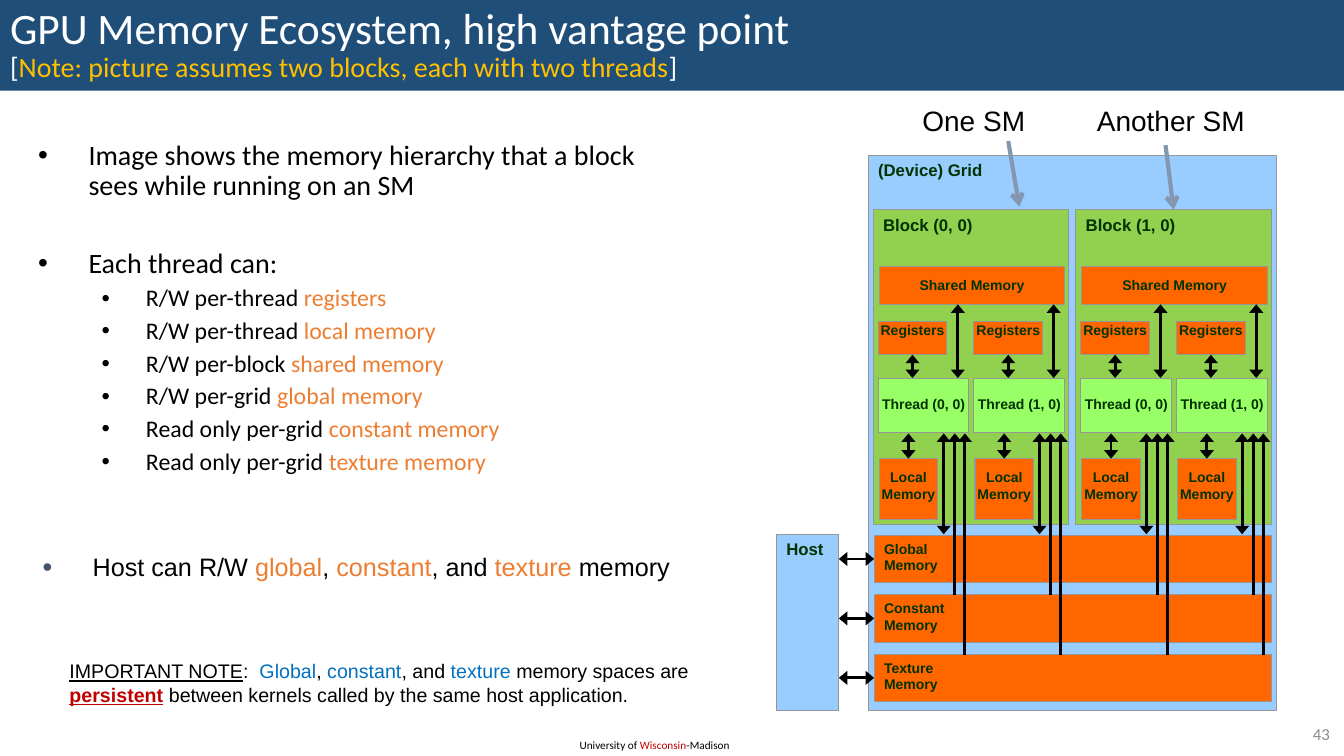
import pptx
import pptx.dml.color
import pptx.enum.shapes
import pptx.enum.text
import pptx.oxml.ns
import pptx.util
from lxml import etree

Inches, Pt = pptx.util.Inches, pptx.util.Pt
RGB = pptx.dml.color.RGBColor
ALIGN = pptx.enum.text.PP_ALIGN
ANCHOR = pptx.enum.text.MSO_ANCHOR
qn = pptx.oxml.ns.qn

NAVY = RGB(0x1F, 0x4E, 0x79)
WHITE = RGB(0xFF, 0xFF, 0xFF)
BLACK = RGB(0, 0, 0)
GOLD = RGB(0xFF, 0xC0, 0x00)
ORANGE = RGB(0xED, 0x7D, 0x31)
BLUE = RGB(0x00, 0x70, 0xC0)
RED = RGB(0xC0, 0x00, 0x00)
PAGE_GREY = RGB(0x8C, 0x8C, 0x8C)
SKY = RGB(0x99, 0xCC, 0xFF)
MEMORY = RGB(0xFF, 0x66, 0x00)
BLOCK_GREEN = RGB(0x92, 0xD0, 0x50)
THREAD_GREEN = RGB(0x99, 0xFF, 0x66)
LABEL_GREEN = RGB(0x00, 0x33, 0x00)
EDGE_GREY = RGB(0x96, 0x96, 0x96)
STEEL = RGB(0x84, 0x97, 0xB0)

deck = pptx.Presentation()
deck.slide_width, deck.slide_height = Inches(13.33), Inches(7.5)
slide = deck.slides.add_slide(deck.slide_layouts[5])
shapes = slide.shapes


def add_box(x, y, w, h, fill, label, size=10, inset_top=None):
    """Labelled rectangle; with inset_top the label is centred without side insets."""
    box = shapes.add_shape(pptx.enum.shapes.MSO_SHAPE.RECTANGLE,
                           Inches(x), Inches(y), Inches(w), Inches(h))
    box.shadow.inherit = False
    box.fill.solid()
    box.fill.fore_color.rgb = fill
    box.line.color.rgb = EDGE_GREY
    box.line.width = Pt(0.75)
    frame = box.text_frame
    frame.vertical_anchor = ANCHOR.TOP
    if inset_top is not None:
        frame.margin_left = frame.margin_right = frame.margin_bottom = 0
        frame.margin_top = Inches(inset_top)
    frame.text = label
    for paragraph in frame.paragraphs:
        paragraph.alignment = ALIGN.LEFT if inset_top is None else ALIGN.CENTER
        paragraph.font.name, paragraph.font.size = "Arial", Pt(size)
        paragraph.font.bold = True
        paragraph.font.color.rgb = LABEL_GREEN
    return box


def add_arrow(x1, y1, x2, y2, heads=("headEnd", "tailEnd"), kind="triangle",
              head_width="lg", colour=BLACK, width=2):
    arrow = shapes.add_connector(pptx.enum.shapes.MSO_CONNECTOR.STRAIGHT,
                                 Inches(x1), Inches(y1), Inches(x2), Inches(y2))
    arrow.line.color.rgb = colour
    arrow.line.width = Pt(width)
    outline = arrow._element.spPr.find(qn("a:ln"))
    for head in heads:
        etree.SubElement(outline, qn("a:" + head), type=kind, w=head_width)
    etree.SubElement(arrow._element.spPr, qn("a:effectLst"))
    return arrow


# Title band
title = shapes.title
title.left, title.top = 0, 0
title.width, title.height = deck.slide_width, Inches(0.9)
title.fill.solid()
title.fill.fore_color.rgb = NAVY
title.text_frame.vertical_anchor = ANCHOR.MIDDLE
heading = title.text_frame.paragraphs[0]
heading.text = "GPU Memory Ecosystem, high vantage point"
heading.alignment = ALIGN.LEFT
heading.line_spacing = 0.9
heading.runs[0].font.size = Pt(31)
heading.runs[0].font.color.rgb = WHITE
heading.add_line_break()

# Text boxes: left, top, width, height, wraps
first_lines = []
for x, y, w, h, wraps in [
    (5.65, 7.28, 1.72, 0.24, False),
    (12.53, 7.13, 0.76, 0.29, True),
    (0.28, 1.35, 6.4, 3.5, True),
    (0.32, 5.42, 6.52, 0.5, True),
    (0.59, 6.49, 6.82, 0.57, True),
    (9.05, 0.98, 1.23, 0.44, False),
    (10.78, 0.98, 1.68, 0.44, False),
]:
    frame = shapes.add_textbox(Inches(x), Inches(y), Inches(w), Inches(h)).text_frame
    frame.word_wrap = wraps
    first_lines.append(frame.paragraphs[0])
footer, page_number, hierarchy, host_note, important, one_sm, another_sm = first_lines
page_number.alignment = ALIGN.RIGHT

# Bulleted list: intro, then what each thread can do
body = hierarchy._parent
each_thread = body.add_paragraph()
accesses = [
    ("R/W per-thread ", "registers"),
    ("R/W per-thread ", "local memory"),
    ("R/W per-block ", "shared memory"),
    ("R/W per-grid ", "global memory"),
    ("Read only per-grid ", "constant memory"),
    ("Read only per-grid ", "texture memory"),
]
access_lines = [body.add_paragraph() for _ in accesses]
for paragraph in [hierarchy, each_thread, *access_lines, host_note]:
    nested = paragraph in access_lines
    if nested:
        paragraph.level = 1
        paragraph.space_before = Pt(5)
    if paragraph is not host_note:
        paragraph.line_spacing = 0.9
    properties = paragraph._p.get_or_add_pPr()
    properties.set("marL", str(Inches(1.07 if nested else 0.5)))
    properties.set("indent", str(-Inches(0.44 if nested else 0.5)))
    if paragraph is host_note:
        bullet_colour = etree.SubElement(properties, qn("a:buClr"))
        etree.SubElement(bullet_colour, qn("a:srgbClr"), val="44546A")
        etree.SubElement(properties, qn("a:buSzPct"), val="70000")
    etree.SubElement(properties, qn("a:buFont"), typeface="Arial")
    etree.SubElement(properties, qn("a:buChar"), char="●" if paragraph is host_note else "•")
each_thread.space_before = Pt(34)

# Wording: paragraph, font, size, coloured runs
wording = [
    (heading, "Calibri", 20, [
        ("[", WHITE), ("Note: picture assumes two blocks, each with two threads", GOLD),
        ("]", WHITE)]),
    (footer, "Calibri", 8, [("University of ", BLACK), ("Wisconsin", RED), ("-Madison", BLACK)]),
    (page_number, "Calibri", 12, [("43", PAGE_GREY)]),
    (hierarchy, "Calibri", 20, [
        ("Image shows the memory hierarchy that a block sees while running on an SM", BLACK)]),
    (each_thread, "Calibri", 20, [("Each thread can:", BLACK)]),
    (host_note, "Arial", 18, [
        ("Host can R/W ", BLACK), ("global", ORANGE), (", ", BLACK), ("constant", ORANGE),
        (", and ", BLACK), ("texture", ORANGE), (" memory", BLACK)]),
    (important, "Arial", 14, [
        ("IMPORTANT NOTE", BLACK), (":  ", BLACK), ("Global", BLUE), (", ", BLACK),
        ("constant", BLUE), (", and ", BLACK), ("texture", BLUE),
        (" memory spaces are ", BLACK), ("persistent", RED),
        (" between kernels called by the same host application.", BLACK)]),
    (one_sm, "Arial", 20, [("One SM", BLACK)]),
    (another_sm, "Arial", 20, [("Another SM", BLACK)]),
]
for paragraph, (access, space) in zip(access_lines, accesses):
    wording.append((paragraph, "Calibri", 17, [(access, BLACK), (space, ORANGE)]))
for paragraph, font, size, runs in wording:
    paragraph.font.name, paragraph.font.size = font, Pt(size)
    for text, colour in runs:
        run = paragraph.add_run()
        run.text = text
        run.font.color.rgb = colour
for run in important.runs:
    run.font.underline = run.text in ("IMPORTANT NOTE", "persistent")
    run.font.bold = run.text == "persistent"

# Device grid with its three memories, and the host that reaches them
add_box(8.61, 1.54, 4.05, 5.51, SKY, "(Device) Grid", 12)
add_box(7.7, 5.3, 0.62, 1.75, SKY, "Host", 12)
for row, memory in enumerate(["Global", "Constant", "Texture"]):
    top = 5.31 + 0.59 * row
    bar = add_box(8.67, top, 3.94, 0.47, MEMORY, memory + "\nMemory")
    middle = top + 0.47 / 2
    add_arrow(8.32, middle, 8.67, middle).end_connect(bar, 1)

# Two blocks, each with shared memory and two threads
blocks = []
for block in range(2):
    left = 8.66 + 2.01 * block
    blocks.append(add_box(left, 2.08, 1.94, 3.12, BLOCK_GREEN, f"Block ({block}, 0)", 12))
    add_box(left + 0.06, 2.64, 1.84, 0.38, MEMORY, "Shared Memory", inset_top=0.1)
    for thread in range(2):
        x = left + 0.05 + 0.95 * thread
        local = add_box(x + 0.01, 4.55, 0.58, 0.6, MEMORY, "Local\nMemory", inset_top=0.1)
        add_box(x, 3.76, 0.9, 0.53, THREAD_GREEN, f"Thread ({thread}, 0)", inset_top=0.16)
        registers = add_box(x, 3.19, 0.68, 0.33, MEMORY, "Registers", inset_top=0)
        add_arrow(x + 0.79, 3.75, x + 0.79, 3.02)
        add_arrow(x + 0.34, 3.75, x + 0.34, 3.52).end_connect(registers, 2)
        add_arrow(x + 0.3, 4.55, x + 0.3, 4.3).begin_connect(local, 0)
        add_arrow(x + 0.65, 4.3, x + 0.65, 5.3)
        for x_read, y_memory in [(x + 0.76, 5.9), (x + 0.86, 6.5)]:
            add_arrow(x_read, 4.3, x_read, y_memory, heads=["headEnd"])

# Pointers from the SM labels to the blocks
pointer = dict(heads=["tailEnd"], kind="arrow", head_width="med", colour=STEEL, width=3)
add_arrow(10, 1.4, 10.11, 2.05, **pointer)
add_arrow(11.56, 1.44, 11.64, 2.08, **pointer).end_connect(blocks[1], 0)

deck.save("out.pptx")
